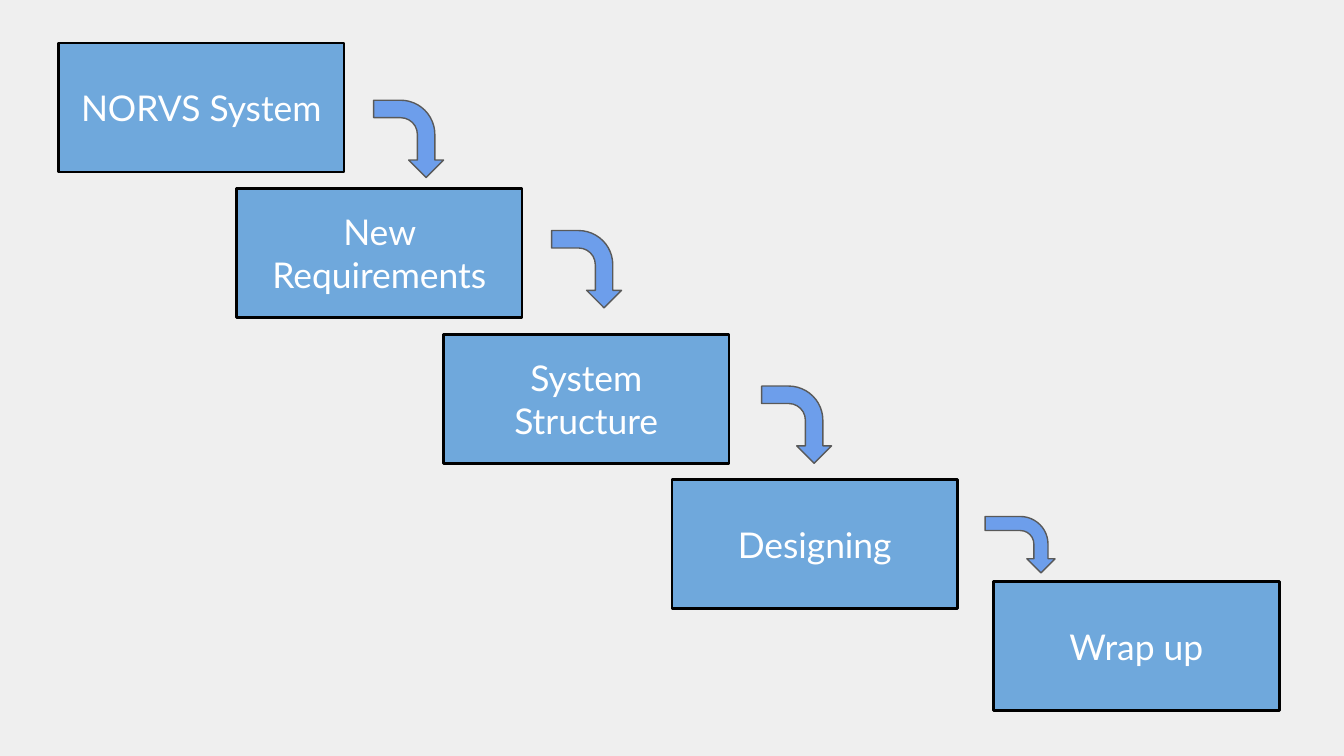
from pptx import Presentation
from pptx.dml.color import RGBColor
from pptx.enum.shapes import MSO_SHAPE
from pptx.enum.text import MSO_ANCHOR, PP_ALIGN
from pptx.util import Inches, Pt

BACKGROUND = RGBColor(0xEF, 0xEF, 0xEF)
BOX_FILL = RGBColor(0x6F, 0xA8, 0xDC)
BOX_LINE = RGBColor(0x00, 0x00, 0x00)
ARROW_FILL = RGBColor(0x6D, 0x9E, 0xEB)
ARROW_LINE = RGBColor(0x59, 0x59, 0x59)
TEXT = RGBColor(0xFF, 0xFF, 0xFF)

# The grid has square cells, 100 to the slide's width.
COLUMNS = 100
BOX_SIZE = (21.25, 9.6)
ARROW_WIDTH = 5.2

# Label, left column, top row
STEPS = [
    ("NORVS System", 4.35, 3.2),
    ("New Requirements", 17.6, 14.03),
    ("System Structure", 33, 24.87),
    ("Designing", 50, 35.7),
    ("Wrap up", 73.93, 43.3),
]

# Left column, top row, length before the quarter turn
ARROWS = [
    (27.53, 7.73, 5.75),
    (40.77, 17.43, 5.75),
    (56.4, 29, 5.75),
    (73.8, 37.93, 4.2),
]


class StaircaseSlide:
    font_name = "Lato"
    font_size = Pt(19)
    inset = Inches(0.1)

    def __init__(self, deck):
        self.cell = deck.slide_width / COLUMNS
        self.page = deck.slides.add_slide(deck.slide_layouts[6])
        fill = self.page.background.fill
        fill.solid()
        fill.fore_color.rgb = BACKGROUND

    def shape(self, kind, place, fill, line, line_width):
        """Add a flat preset shape; place is left, top, width, height in cells."""
        shape = self.page.shapes.add_shape(
            kind, *(round(length * self.cell) for length in place))
        shape.shadow.inherit = False
        shape.fill.solid()
        shape.fill.fore_color.rgb = fill
        shape.line.color.rgb = line
        shape.line.width = Pt(line_width)
        return shape

    def step(self, label, left, top):
        box = self.shape(MSO_SHAPE.RECTANGLE, (left, top, *BOX_SIZE),
                         BOX_FILL, BOX_LINE, 1.5)
        frame = box.text_frame
        frame.word_wrap = True
        frame.vertical_anchor = MSO_ANCHOR.MIDDLE
        frame.margin_left = frame.margin_right = self.inset
        frame.margin_top = frame.margin_bottom = self.inset
        para = frame.paragraphs[0]
        para.text = label
        para.alignment = PP_ALIGN.CENTER
        para.font.name = self.font_name
        para.font.size = self.font_size
        para.font.color.rgb = TEXT

    def arrow(self, left, top, length):
        arrow = self.shape(MSO_SHAPE.BENT_ARROW,
                           (left, top, length, ARROW_WIDTH),
                           ARROW_FILL, ARROW_LINE, 0.75)
        arrow.rotation = 90
        for index, share in enumerate((0.25, 0.25, 0.25, 0.49)):
            arrow.adjustments[index] = share


def main():
    deck = Presentation()
    deck.slide_width = Inches(10)
    deck.slide_height = deck.slide_width * 9 // 16
    staircase = StaircaseSlide(deck)
    for step in STEPS:
        staircase.step(*step)
    for arrow in ARROWS:
        staircase.arrow(*arrow)
    deck.save("out.pptx")


if __name__ == "__main__":
    main()
